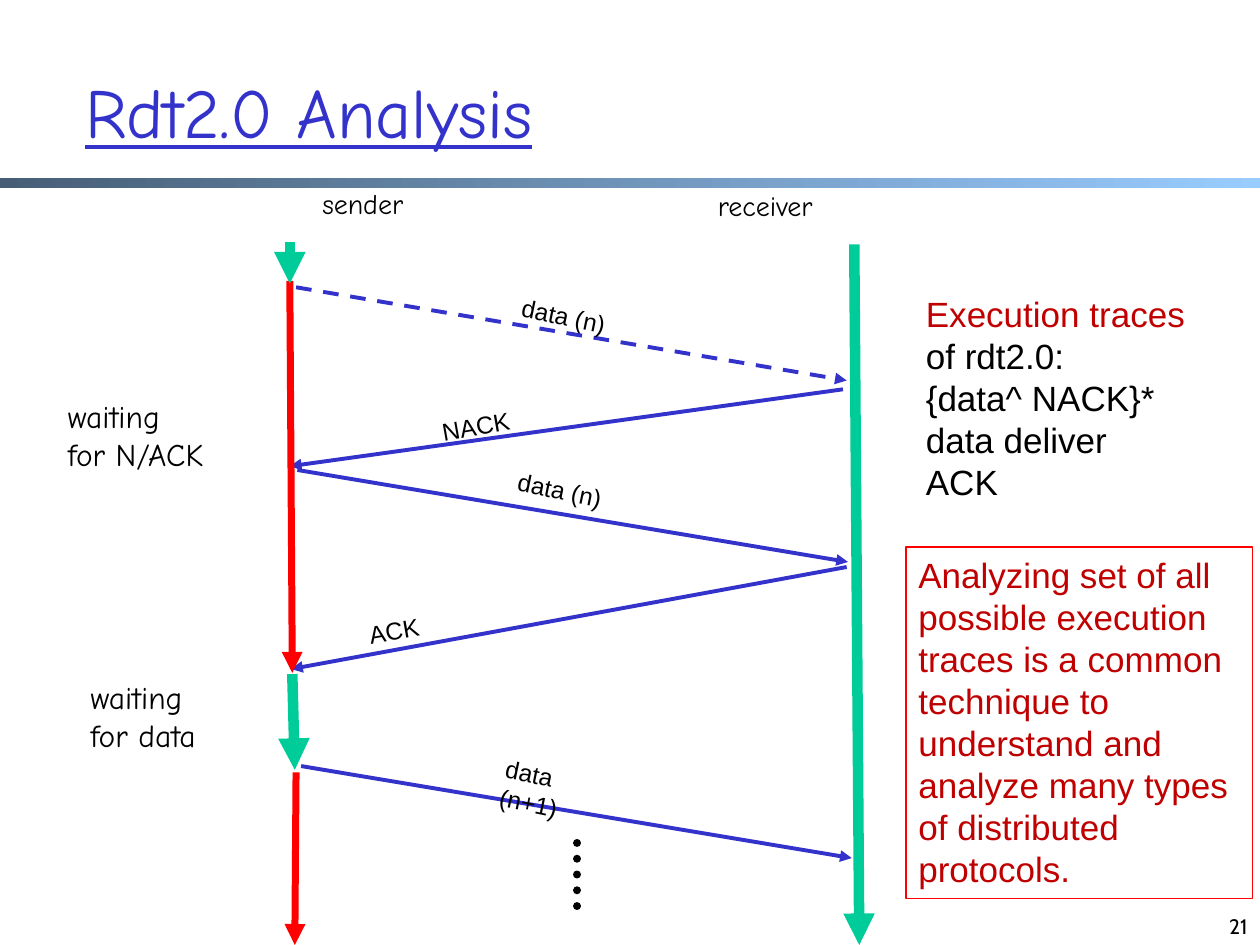
from lxml import etree
from pptx import Presentation
from pptx.dml.color import RGBColor
from pptx.enum.dml import MSO_LINE
from pptx.enum.shapes import MSO_CONNECTOR, MSO_SHAPE
from pptx.enum.text import MSO_ANCHOR, MSO_AUTO_SIZE, PP_ALIGN
from pptx.oxml.ns import qn
from pptx.util import Inches, Pt

STRAIGHT = MSO_CONNECTOR.STRAIGHT
RECTANGLE = MSO_SHAPE.RECTANGLE
DASH, ROUND_DOT = MSO_LINE.DASH, MSO_LINE.ROUND_DOT
MIDDLE, BOTTOM = MSO_ANCHOR.MIDDLE, MSO_ANCHOR.BOTTOM
NO_FIT, GROW = MSO_AUTO_SIZE.NONE, MSO_AUTO_SIZE.SHAPE_TO_FIT_TEXT
RIGHT = PP_ALIGN.RIGHT

COLORS = {
    "text": "000000",
    "message": "3333CC",
    "active": "00CC99",
    "waiting": "FF0000",
    "emphasis": "C00000",
    "bar_start": "475E76",
    "bar_end": "99CCFF",
}
FORMATS = {
    "title": {"name": "Comic Neue", "size": Pt(40), "underline": True},
    "role": {"name": "Comic Neue", "size": Pt(16)},
    "state": {"name": "Comic Neue", "size": Pt(18)},
    "message": {"name": "Arial", "size": Pt(14)},
    "note": {"name": "Arial", "size": Pt(20)},
    "number": {"name": "Cabin", "size": Pt(12)},
}


def color(name):
    return RGBColor.from_string(COLORS[name])


def add_text(slide, box, parts, style, wrap=True, fit=GROW, rotation=0):
    """Add a one-paragraph text box; parts are (text, colour name) pairs."""
    text_box = slide.shapes.add_textbox(*map(Inches, box))
    text_box.rotation = rotation
    frame = text_box.text_frame
    frame.word_wrap = wrap
    frame.auto_size = fit
    paragraph = frame.paragraphs[0]
    for text, color_name in parts:
        for index, line in enumerate(text.split("\n")):
            if index:
                paragraph.add_line_break()
            run = paragraph.add_run()
            run.text = line
            for attribute, value in FORMATS[style].items():
                setattr(run.font, attribute, value)
            run.font.color.rgb = color(color_name)
    return text_box


def add_line(slide, start, end, color_name, width, dash=None, arrow=True):
    line = slide.shapes.add_connector(STRAIGHT, *map(Inches, (*start, *end)))
    line.line.color.rgb = color(color_name)
    line.line.width = Pt(width)
    if dash:
        line.line.dash_style = dash
    properties = line._element.spPr
    outline = properties.find(qn("a:ln"))
    if arrow:
        etree.SubElement(outline, qn("a:tailEnd"), type="triangle")
    else:
        outline.set("cap", "rnd")
    etree.SubElement(properties, qn("a:effectLst"))


def add_header(slide, box):
    left, top, width, height = box
    bar_height = 0.08
    bar = slide.shapes.add_shape(
        RECTANGLE, *map(Inches, (left, top + height - bar_height, width, bar_height)))
    bar.shadow.inherit = False
    bar.line.fill.background()
    bar.fill.gradient()
    bar.fill.gradient_angle = 0
    for stop, name in zip(bar.fill.gradient_stops, ("bar_start", "bar_end")):
        stop.color.rgb = color(name)
    title = add_text(slide, (left + 0.58, top, 8.77, 1.25),
                     [("Rdt2.0 Analysis", "message")], "title", fit=NO_FIT)
    title.text_frame.vertical_anchor = MIDDLE


def add_messages(slide, box):
    left, top = box[:2]
    arrows = [
        ((0.05, 0.85), (4.42, 1.59), DASH),
        ((4.39, 1.66), (0, 2.27), None),
        ((0.06, 2.3), (4.43, 3.03), None),
        ((4.42, 3.07), (0.01, 3.88), None),
        ((0.09, 4.65), (4.46, 5.38), None),
    ]
    for (x1, y1), (x2, y2), dash in arrows:
        add_line(slide, (left + x1, top + y1), (left + x2, top + y2),
                 "message", 2.25, dash)
    labels = [
        ("data (n)", 1.74, 0.91, 0.87, 11.8),
        ("NACK", 1.09, 1.59, 2.99, 350),
        ("data (n)", 1.71, 2.29, 0.87, 11.8),
        ("ACK", 0.51, 3.2, 2.99, 350),
        ("data (n+1)", 1.61, 4.59, 1.09, 11.8),
    ]
    for text, x, y, width, rotation in labels:
        add_text(slide, (left + x, top + y, width, 0.33), [(text, "text")],
                 "message", fit=NO_FIT, rotation=rotation)


def add_lifelines(slide, box):
    left, top = box[:2]
    phases = [
        ((0, 0.8), (0.02, 3.91), "waiting", 4),
        ((4.48, 0.51), (4.52, 6.07), "active", 6),
        ((0.02, 3.92), (0.04, 4.68), "active", 6),
        ((0, 0.49), (0, 0.82), "active", 6),
        ((0.05, 4.7), (0.04, 6.07), "waiting", 4),
    ]
    for (x1, y1), (x2, y2), color_name, width in phases:
        add_line(slide, (left + x1, top + y1), (left + x2, top + y2),
                 color_name, width)
    add_line(slide, (left + 2.28, top + 5.26), (left + 2.28, top + 5.88),
             "text", 4.5, ROUND_DOT, arrow=False)
    labels = [
        ("sender", 0.16, 0, 0.91, 0.37, "role", False),
        ("receiver", 3.3, 0.02, 1.07, 0.37, "role", False),
        ("waiting\nfor N/ACK", -1.86, 1.67, 1.55, 0.7, "state", True),
        ("waiting\nfor data", -1.68, 3.9, 1.18, 0.7, "state", False),
    ]
    for text, x, y, width, height, style, wrap in labels:
        add_text(slide, (left + x, top + y, width, height), [(text, "text")],
                 style, wrap)


def add_notes_column(slide, box):
    left, top, width, height = box
    add_text(slide, (left + 0.06, top, 2.46, 1.78), [
        ("Execution traces ", "emphasis"),
        ("of rdt2.0:\n{data^ NACK}* data deliver \nACK", "text"),
    ], "note")
    framed_height = 2.79
    framed = add_text(
        slide, (left, top + height - framed_height, width, framed_height),
        [("Analyzing set of all possible execution traces is a common technique "
          "to understand and analyze many types of distributed protocols.",
          "emphasis")], "note")
    framed.line.color.rgb = color("waiting")
    framed.line.width = Pt(0.75)


def add_slide_number(slide, box):
    number = add_text(slide, box, [("21", "text")], "number", fit=NO_FIT)
    number.text_frame.vertical_anchor = BOTTOM
    number.text_frame.paragraphs[0].alignment = RIGHT


def main():
    presentation = Presentation()
    presentation.slide_width = Inches(10)
    presentation.slide_height = Inches(7.5)
    slide = presentation.slides.add_slide(presentation.slide_layouts[6])
    exchange = (2.3, 1.43, 4.52, 6.07)
    add_header(slide, (0, 0.25, 10, 1.24))
    add_messages(slide, exchange)
    add_lifelines(slide, exchange)
    add_notes_column(slide, (7.19, 2.27, 2.75, 4.86))
    add_slide_number(slide, (7.67, 7, 2.33, 0.5))
    presentation.save("out.pptx")


if __name__ == "__main__":
    main()
